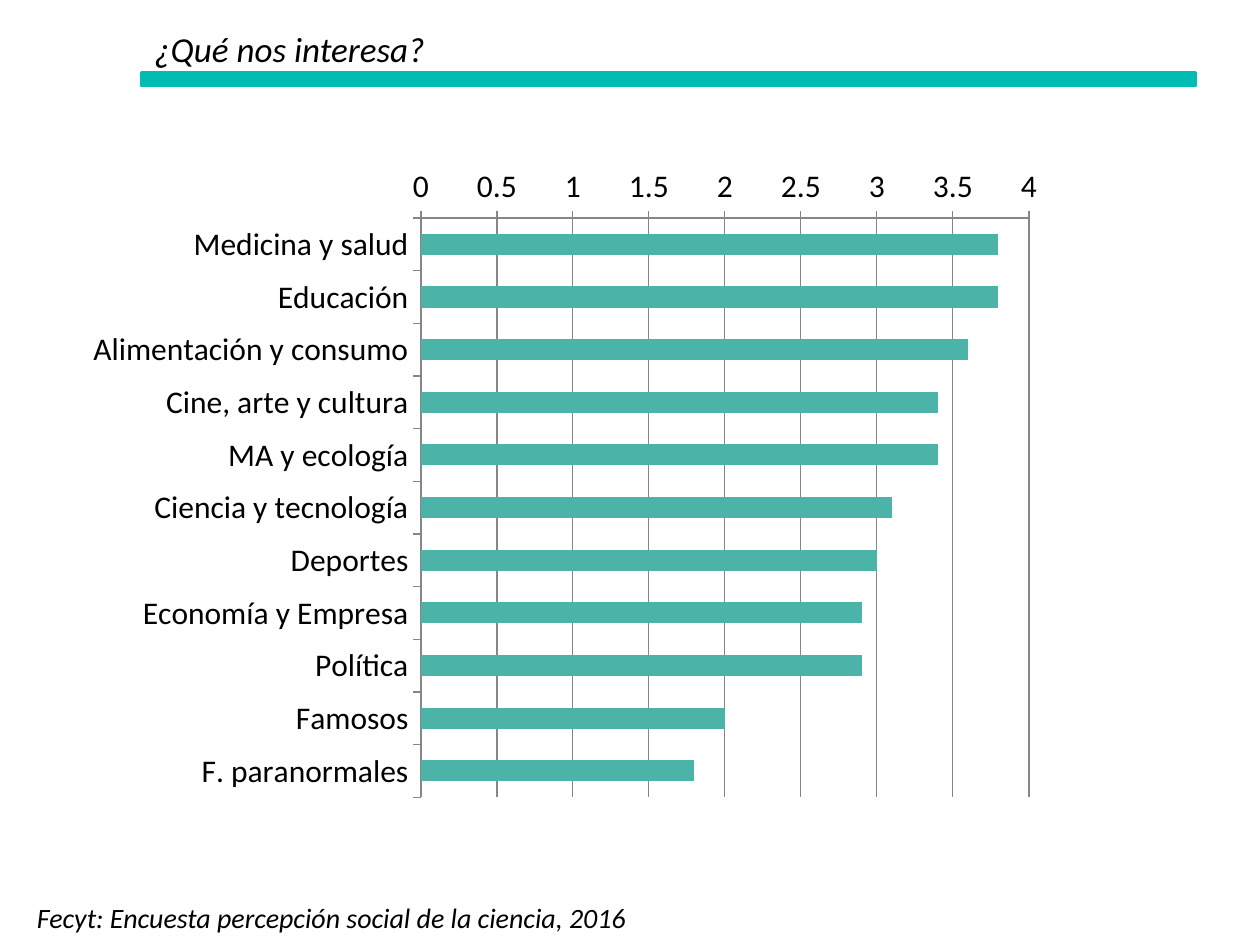
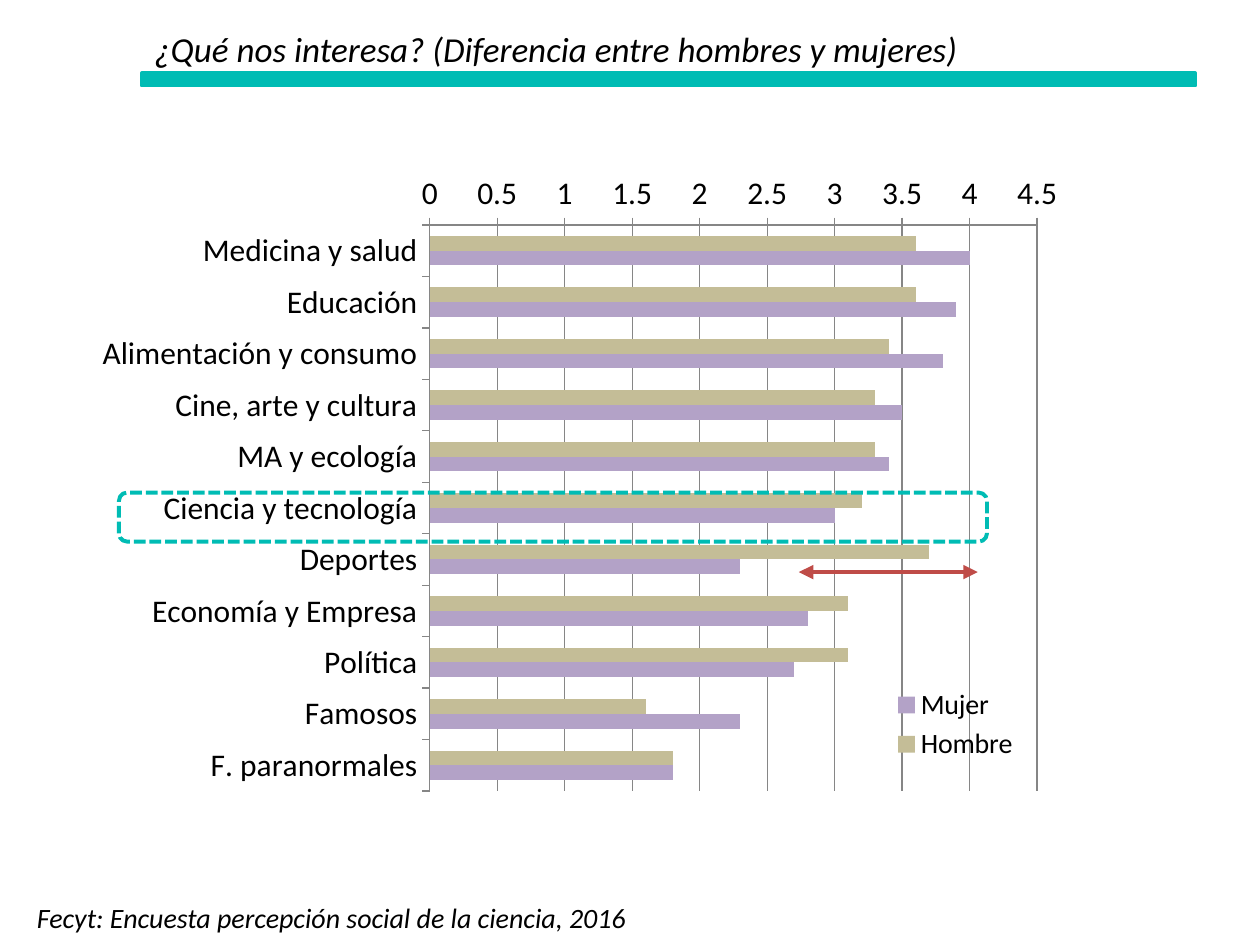
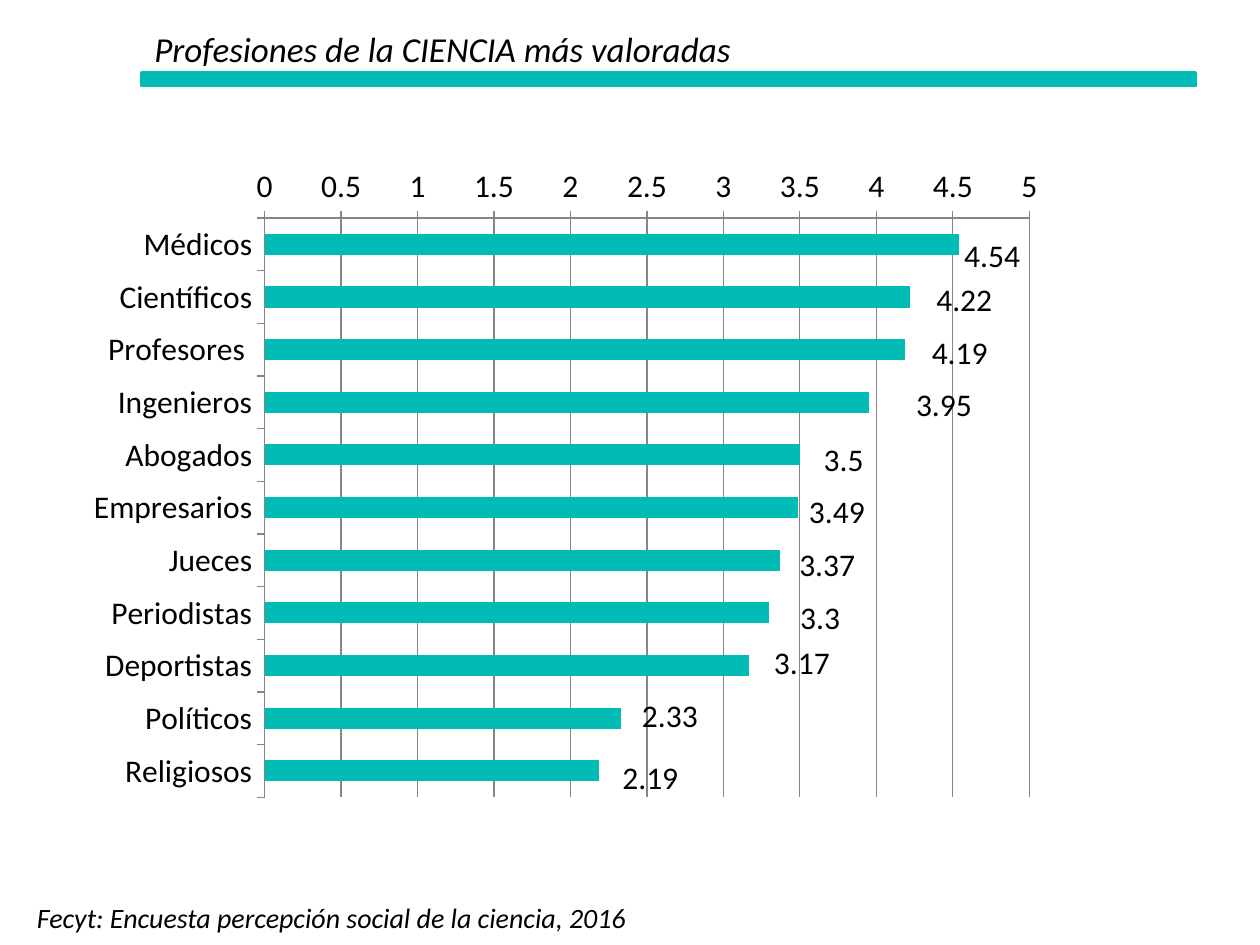
from dataclasses import dataclass

from pptx import Presentation
from pptx.chart.data import CategoryChartData
from pptx.dml.color import RGBColor
from pptx.enum.chart import XL_CHART_TYPE as ChartType
from pptx.enum.chart import XL_LEGEND_POSITION as LegendPosition
from pptx.enum.chart import XL_TICK_MARK as TickMark
from pptx.enum.dml import MSO_LINE_DASH_STYLE as Dash
from pptx.enum.shapes import MSO_CONNECTOR as Connector
from pptx.enum.shapes import MSO_SHAPE as Shape
from pptx.enum.text import MSO_ANCHOR as Anchor
from pptx.enum.text import PP_ALIGN as Align
from pptx.oxml.xmlchemy import OxmlElement
from pptx.util import Pt


@dataclass(frozen=True)
class Theme:
    font: str = "Calibri"
    ink: RGBColor = RGBColor.from_string("000000")
    teal: RGBColor = RGBColor.from_string("00BCB4")
    soft_teal: RGBColor = RGBColor.from_string("4BB3A7")
    sand: RGBColor = RGBColor.from_string("C4BD97")
    lilac: RGBColor = RGBColor.from_string("B3A2C7")
    red: RGBColor = RGBColor.from_string("BF4C48")
    grid: RGBColor = RGBColor.from_string("868686")
    title_size: Pt = Pt(20)
    chart_size: Pt = Pt(18)
    small_size: Pt = Pt(16)


theme = Theme()
CHART_WIDTH, CHART_HEIGHT = 561.6, 374.4


def write(frame, text, size):
    frame.word_wrap = True
    paragraph = frame.paragraphs[0]
    paragraph.alignment = Align.LEFT
    run = paragraph.add_run()
    run.text = text
    run.font.name = theme.font
    run.font.size = size
    run.font.italic = True
    run.font.color.rgb = theme.ink


def place(part, index, modes, left, top, width=None, height=None):
    for old in part.findall("{*}layout"):
        part.remove(old)
    layout = OxmlElement("c:layout")
    manual = OxmlElement("c:manualLayout")
    layout.append(manual)
    settings = list(modes) + [("x", left / CHART_WIDTH), ("y", top / CHART_HEIGHT)]
    if width:
        settings += [("w", width / CHART_WIDTH), ("h", height / CHART_HEIGHT)]
    for tag, value in settings:
        setting = OxmlElement(f"c:{tag}")
        setting.set("val", str(value))
        manual.append(setting)
    part.insert(index, layout)


edge = [("xMode", "edge"), ("yMode", "edge")]
topics = [
    "Medicina y salud", "Educación", "Alimentación y consumo", "Cine, arte y cultura",
    "MA y ecología", "Ciencia y tecnología", "Deportes", "Economía y Empresa",
    "Política", "Famosos", "F. paranormales",
]
professions = [
    "Médicos", "Científicos", "Profesores ", "Ingenieros", "Abogados", "Empresarios",
    "Jueces", "Periodistas", "Deportistas", "Políticos", "Religiosos",
]
interest = [3.8, 3.8, 3.6, 3.4, 3.4, 3.1, 3, 2.9, 2.9, 2, 1.8]
men = [3.6, 3.6, 3.4, 3.3, 3.3, 3.2, 3.7, 3.1, 3.1, 1.6, 1.8]
women = [4, 3.9, 3.8, 3.5, 3.4, 3, 2.3, 2.8, 2.7, 2.3, 1.8]
esteem = [4.54, 4.22, 4.19, 3.95, 3.5, 3.49, 3.37, 3.3, 3.17, 2.33, 2.19]
stacked, clustered = ChartType.BAR_STACKED, ChartType.BAR_CLUSTERED

surveys = [
    ("¿Qué nos interesa?", stacked, topics,
     [("Series 1", interest, theme.soft_teal)], 4, (198, 36, 347.5, 331)),
    ("¿Qué nos interesa? (Diferencia entre hombres y mujeres)", clustered, topics,
     [("Hombre", men, theme.sand), ("Mujer", women, theme.lilac)], 4.5,
     (203.3, 40, 347.5, 323.5)),
    ("Profesiones de la CIENCIA más valoradas", stacked, professions,
     [("Series 1", esteem, theme.teal)], 5, (108.7, 36, 437, 331)),
]

deck = Presentation()
deck.slide_width, deck.slide_height = Pt(720), Pt(540)
slides, charts = [], []

for heading, chart_type, categories, groups, maximum, plot_box in surveys:
    slide = deck.slides.add_slide(deck.slide_layouts[5])
    slides.append(slide)

    band = slide.shapes.add_shape(Shape.RECTANGLE, Pt(81), Pt(41.8), Pt(602), Pt(7.2))
    band.shadow.inherit = False
    band.fill.solid()
    band.fill.fore_color.rgb = theme.teal
    band.line.color.rgb = theme.teal
    band.line.width = Pt(2)

    title = slide.shapes.title
    title.left, title.top, title.width, title.height = Pt(81), Pt(12.2), Pt(480), Pt(31.7)
    title.text_frame.vertical_anchor = Anchor.TOP
    write(title.text_frame, heading, theme.title_size)

    data = CategoryChartData()
    data.categories = categories
    for name, values, _ in groups:
        data.add_series(name, values)
    chart = slide.shapes.add_chart(
        chart_type, Pt(42.5), Pt(88.6), Pt(CHART_WIDTH), Pt(CHART_HEIGHT), data
    ).chart
    charts.append(chart)
    chart.has_title = False
    chart.has_legend = False
    chart.font.name = theme.font
    chart.font.size = theme.chart_size
    chart.font.color.rgb = theme.ink

    bars = chart.plots[0]
    bars.vary_by_categories = False
    bars.gap_width = 150
    for series, (_, _, color) in zip(bars.series, groups):
        series.format.fill.solid()
        series.format.fill.fore_color.rgb = color

    scale = chart.value_axis
    scale.minimum_scale, scale.maximum_scale, scale.major_unit = 0, maximum, 0.5
    scale.has_major_gridlines = True
    chart.category_axis.reverse_order = True
    for axis in (scale, chart.category_axis):
        axis.major_tick_mark = TickMark.OUTSIDE
        axis.minor_tick_mark = TickMark.NONE
    for line in (scale.format.line, chart.category_axis.format.line,
                 scale.major_gridlines.format.line):
        line.color.rgb = theme.grid
        line.width = Pt(0.75)
    plot_area = chart.element.find(".//{*}plotArea")
    place(plot_area, 0, [("layoutTarget", "inner")] + edge, *plot_box)

    source = slide.shapes.add_textbox(Pt(14), Pt(511.2), Pt(453.6), Pt(26.6))
    write(source.text_frame, "Fecyt: Encuesta percepción social de la ciencia, 2016",
          theme.small_size)

gender_slide, gender_chart = slides[1], charts[1]
gender_chart.has_legend = True
legend = gender_chart.legend
legend.position = LegendPosition.RIGHT
legend.include_in_layout = False
legend.font.name = theme.font
legend.font.size = theme.small_size
legend.font.color.rgb = theme.ink
place(gender_chart.element.find(".//{*}legend"), 1, edge, 462, 301.5, 84, 48)

science_frame = gender_slide.shapes.add_shape(
    Shape.ROUNDED_RECTANGLE, Pt(68), Pt(281.5), Pt(496), Pt(28)
)
science_frame.shadow.inherit = False
science_frame.fill.background()
science_frame.line.color.rgb = theme.teal
science_frame.line.width = Pt(2.25)
science_frame.line.dash_style = Dash.SQUARE_DOT

sports_gap = gender_slide.shapes.add_connector(
    Connector.STRAIGHT, Pt(456.5), Pt(326.9), Pt(558.7), Pt(326.9)
)
sports_gap.line.color.rgb = theme.red
sports_gap.line.width = Pt(2.75)
gap_line = sports_gap.element.find(".//{*}ln")
for end in ("a:headEnd", "a:tailEnd"):
    arrowhead = OxmlElement(end)
    arrowhead.set("type", "triangle")
    gap_line.append(arrowhead)
sports_gap.element.spPr.append(OxmlElement("a:effectLst"))

esteem_series = charts[2].plots[0].series[0]
esteem_series.data_labels.show_value = True
label_gaps = [19, 31, 31, 43, 25, 22, 27, 29, 30, 28, 29]
label_drops = [7, 2, 2, 2, 3, 3, 3, 3, -1, -1, 4]
for index in range(len(esteem)):
    label_font = esteem_series.points[index].data_label.font
    label_font.name = theme.font
    label_font.size = theme.chart_size
    label_font.color.rgb = theme.ink
value_labels = charts[2].element.findall(".//{*}dLbl")
for label, value, gap, drop in zip(value_labels, esteem, label_gaps, label_drops):
    half_bar = value / 5 * 437 / 2
    place(label, 1, [], half_bar + gap, drop)
for leader_lines in charts[2].element.findall(".//{*}showLeaderLines"):
    leader_lines.set("val", "0")

deck.save("out.pptx")
